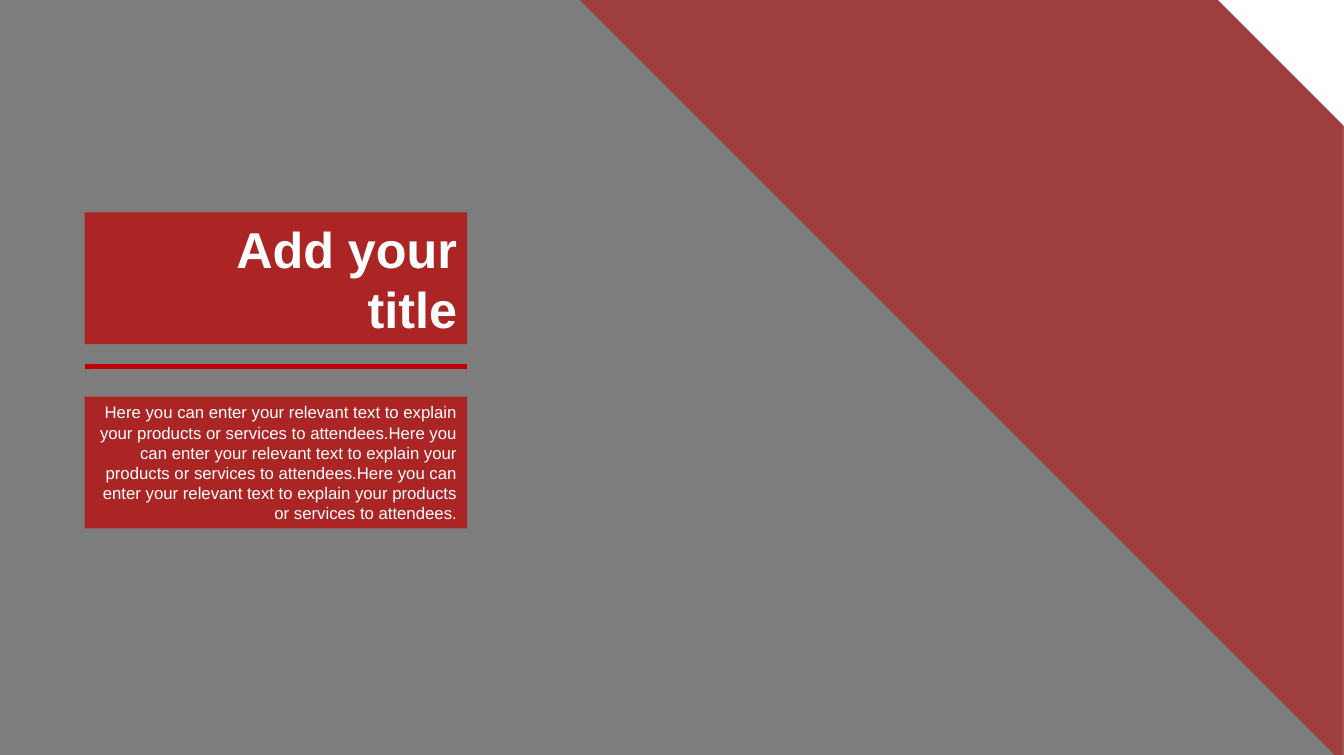
from pptx import Presentation
from pptx.dml.color import RGBColor
from pptx.enum.shapes import MSO_CONNECTOR, MSO_SHAPE
from pptx.enum.text import MSO_ANCHOR, PP_ALIGN
from pptx.oxml.ns import qn
from pptx.util import Inches, Pt
from lxml.etree import SubElement

THEME = {
    "font": "Arial",
    "black": RGBColor.from_string("000000"),
    "red": RGBColor.from_string("C00000"),
    "white": RGBColor.from_string("FFFFFF"),
    "edge": RGBColor.from_string("8AA6A8"),
    "title": Pt(36),
    "body": Pt(12),
}
WIDTH, HEIGHT = 13.35, 7.5

deck = Presentation()
deck.slide_width, deck.slide_height = Inches(WIDTH), Inches(HEIGHT)
page = deck.slides.add_slide(deck.slide_layouts[6])


def add_panel(kind, left, top, width, height, color, opacity=100):
    panel = page.shapes.add_shape(
        kind, Inches(left), Inches(top), Inches(width), Inches(height))
    panel.shadow.inherit = False
    panel.fill.solid()
    panel.fill.fore_color.rgb = THEME[color]
    panel.line.fill.background()
    if opacity < 100:
        tint = panel.fill._xPr.find(qn("a:solidFill"))[0]
        SubElement(tint, qn("a:alpha")).set("val", str(opacity * 1000))
    return panel


# Grey veil over the whole page
veil = add_panel(MSO_SHAPE.RECTANGLE, -0.01, -0.02, WIDTH, HEIGHT + 0.03, "black", 51)
veil.line.color.rgb = THEME["edge"]
veil.line.width = Pt(1)

# Corner triangles, flush with the same right edge
CORNER_RIGHT = WIDTH + 0.03
for side, top, color, opacity in ((7.65, -0.03, "red", 50), (1.33, -0.05, "white", 100)):
    corner = add_panel(MSO_SHAPE.RIGHT_TRIANGLE, CORNER_RIGHT - side, top,
                       side, side, color, opacity)
    corner.rotation = 180

# Title and body boxes in one column
LEFT, COLUMN, BOX_HEIGHT = 0.84, 3.8, 1.31
SENTENCE = "Here you can enter your relevant text to explain your products or services to attendees."
for top, text, size, bold in (
    (2.11, "Add your\ntitle", "title", True),
    (3.94, SENTENCE * 3, "body", False),
):
    box = add_panel(MSO_SHAPE.RECTANGLE, LEFT, top, COLUMN, BOX_HEIGHT, "red", 70)
    frame = box.text_frame
    frame.word_wrap = True
    frame.vertical_anchor = MSO_ANCHOR.MIDDLE
    frame.text = text
    for para in frame.paragraphs:
        para.alignment = PP_ALIGN.RIGHT
        for span in para.runs:
            span.font.name = THEME["font"]
            span.font.size = THEME[size]
            span.font.bold = bold
            span.font.color.rgb = THEME["white"]

# Rule between the boxes
rule = page.shapes.add_connector(
    MSO_CONNECTOR.STRAIGHT, Inches(LEFT), Inches(3.64), Inches(LEFT + COLUMN), Inches(3.64))
rule.line.color.rgb = THEME["red"]
rule.line.width = Pt(3)
SubElement(rule._element.spPr, qn("a:effectLst"))

deck.save("out.pptx")
